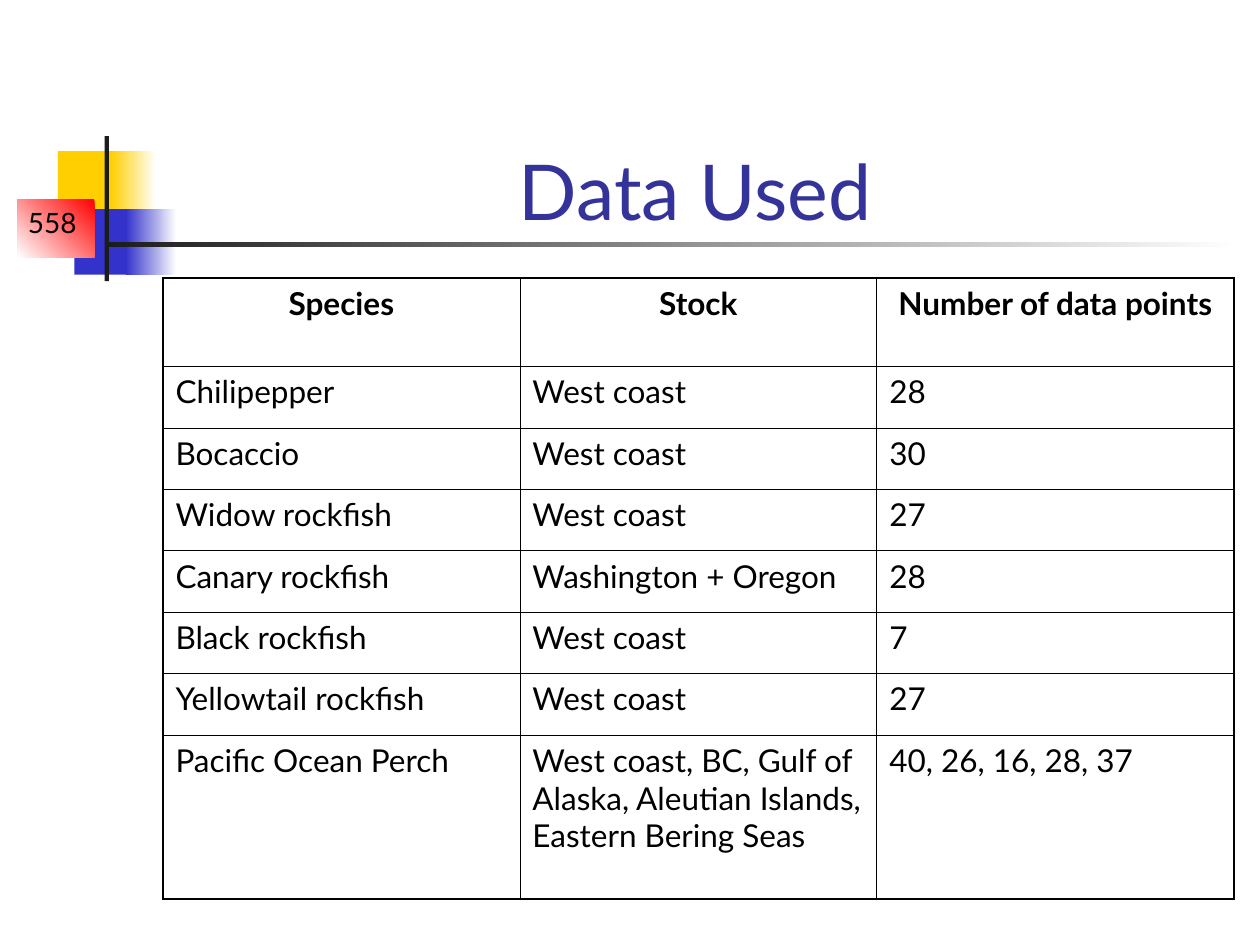
import pptx
import pptx.util
import pptx.dml.color
import pptx.enum.shapes
import pptx.enum.text
import pptx.oxml.ns
from lxml import etree

Pt = pptx.util.Pt
ALIGN = pptx.enum.text.PP_ALIGN
ANCHOR = pptx.enum.text.MSO_ANCHOR

FONT = "Lato"
BLACK, WHITE, TITLE_BLUE = "000000", "FFFFFF", "333399"
YELLOW, BLUE, RED, DARK = "FFCF01", "3333CC", "FF0000", "1C1C1C"

# left, top, width, height, colours (two make a gradient), gradient angle
DECORATION = [
    (33.1, 86.4, 34.6, 37.4, [YELLOW], None),
    (63.4, 86.4, 25.9, 37.4, [WHITE, YELLOW], 180),
    (42.5, 119.5, 33.1, 37.4, [BLUE], None),
    (72, 119.5, 28.8, 37.4, [WHITE, BLUE], 180),
    (10.1, 113.8, 43.9, 33.1, [RED, WHITE], 225),
    (59.8, 77.8, 2.4, 82.8, [DARK], None),
    (59.8, 138.2, 648, 2.9, [WHITE, DARK], 180),
]

TITLE = "Data Used"
SLIDE_NUMBER = "558"
SPECIES_DATA = [
    ("Species", "Stock", "Number of data points"),
    ("Chilipepper", "West coast", "28"),
    ("Bocaccio", "West coast", "30"),
    ("Widow rockfish", "West coast", "27"),
    ("Canary rockfish", "Washington + Oregon", "28"),
    ("Black rockfish", "West coast", "7"),
    ("Yellowtail rockfish", "West coast", "27"),
    ("Pacific Ocean Perch",
     "West coast, BC, Gulf of Alaska, Aleutian Islands, Eastern Bering Seas",
     "40, 26, 16, 28, 37"),
]
TABLE_LEFT, TABLE_TOP, COLUMN_WIDTH = 93.1, 159, 204
HEADER_HEIGHT, ROW_HEIGHT, LAST_HEIGHT = 50.4, 35.1, 93.8
OUTER_LINE, INNER_LINE = 1.08, 0.45


def rgb(colour):
    return pptx.dml.color.RGBColor.from_string(colour)


def write(frame, text, size=18, colour=BLACK, bold=False, align=ALIGN.LEFT, before=0):
    frame.word_wrap = True
    paragraph = frame.paragraphs[0]
    paragraph.alignment = align
    paragraph.space_before = Pt(before)
    run = paragraph.add_run()
    run.text = text
    run.font.name = FONT
    run.font.size = Pt(size)
    run.font.bold = bold
    run.font.color.rgb = rgb(colour)


def add_block(slide, left, top, width, height, colours, angle):
    block = slide.shapes.add_shape(pptx.enum.shapes.MSO_SHAPE.RECTANGLE,
                                   Pt(left), Pt(top), Pt(width), Pt(height))
    block.shadow.inherit = False
    block.line.fill.background()
    if angle is None:
        block.fill.solid()
        block.fill.fore_color.rgb = rgb(colours[0])
        return
    block.fill.gradient()
    block.fill.gradient_angle = angle
    for stop, colour in zip(block.fill.gradient_stops, colours):
        stop.color.rgb = rgb(colour)


def add_label(slide, left, top, width, height, text, anchor=ANCHOR.TOP, **text_format):
    frame = slide.shapes.add_textbox(Pt(left), Pt(top), Pt(width), Pt(height)).text_frame
    frame.vertical_anchor = anchor
    write(frame, text, **text_format)


def set_borders(cell, widths):
    """Draw the left, right, top and bottom cell lines, in that order."""
    qn = pptx.oxml.ns.qn
    properties = cell._tc.get_or_add_tcPr()
    for position, (side, width) in enumerate(zip("LRTB", widths)):
        line = etree.Element(qn(f"a:ln{side}"), w=str(int(Pt(width))))
        fill = etree.SubElement(line, qn("a:solidFill"))
        etree.SubElement(fill, qn("a:srgbClr"), val=BLACK)
        properties.insert(position, line)


def add_species_table(slide):
    row_count, column_count = len(SPECIES_DATA), len(SPECIES_DATA[0])
    heights = [HEADER_HEIGHT] + [ROW_HEIGHT] * (row_count - 2) + [LAST_HEIGHT]
    table = slide.shapes.add_table(row_count, column_count, Pt(TABLE_LEFT), Pt(TABLE_TOP),
                                   Pt(COLUMN_WIDTH * column_count), Pt(sum(heights))).table
    table.first_row = True
    table.horz_banding = False
    for column in table.columns:
        column.width = Pt(COLUMN_WIDTH)
    for r, (row, height) in enumerate(zip(SPECIES_DATA, heights)):
        table.rows[r].height = Pt(height)
        header = r == 0
        for c, text in enumerate(row):
            cell = table.cell(r, c)
            cell.fill.background()
            cell.margin_left = cell.margin_right = Pt(7.2)
            cell.margin_top = cell.margin_bottom = Pt(3.6)
            write(cell.text_frame, text, bold=header, before=4.5,
                  align=ALIGN.CENTER if header else ALIGN.LEFT)
            on_edge = (c == 0, c == column_count - 1, header, r == row_count - 1)
            set_borders(cell, [OUTER_LINE if edge else INNER_LINE for edge in on_edge])


def main():
    deck = pptx.Presentation()
    deck.slide_width, deck.slide_height = Pt(720), Pt(540)
    slide = deck.slides.add_slide(deck.slide_layouts[6])
    for block in DECORATION:
        add_block(slide, *block)
    add_label(slide, 0, 113.8, 59.8, 26.6, SLIDE_NUMBER, size=16, align=ALIGN.CENTER)
    add_label(slide, 90.7, 48.2, 613.4, 90, TITLE, anchor=ANCHOR.BOTTOM,
              size=44, colour=TITLE_BLUE, align=ALIGN.CENTER)
    add_species_table(slide)
    deck.save("out.pptx")


if __name__ == "__main__":
    main()
